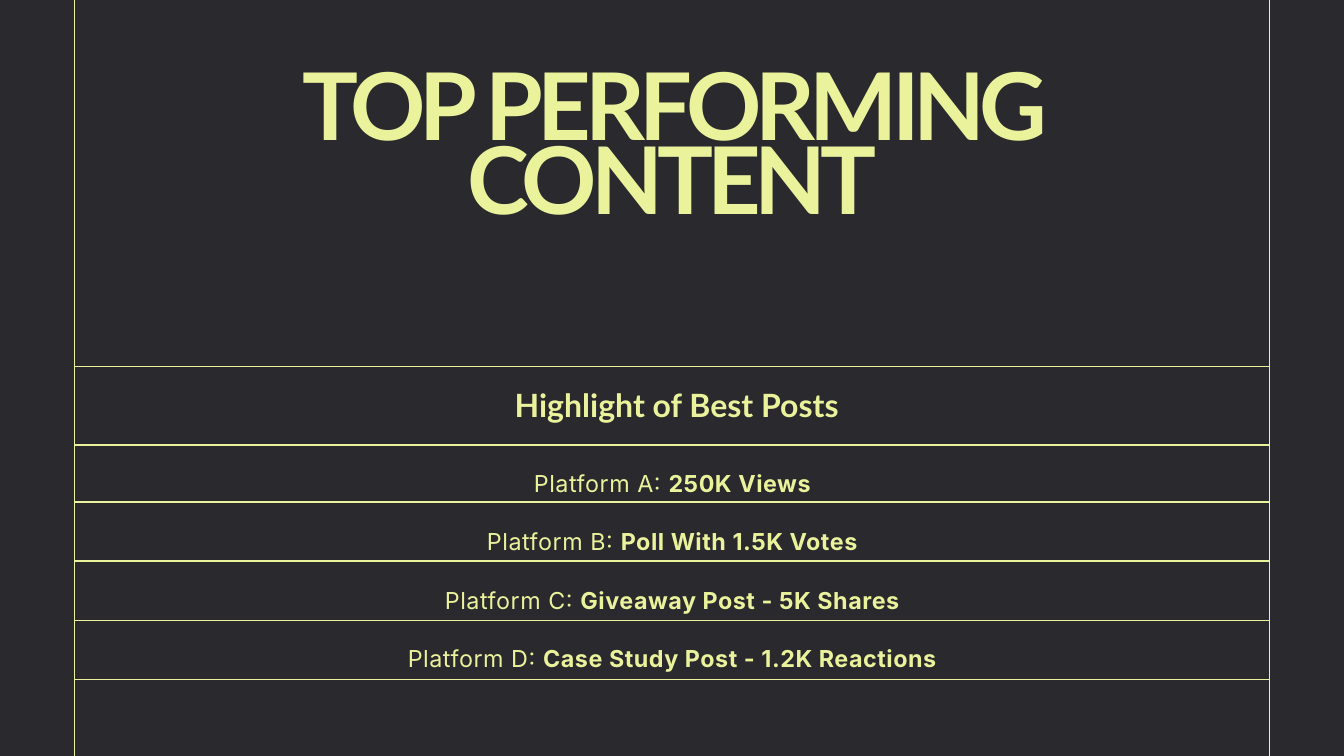
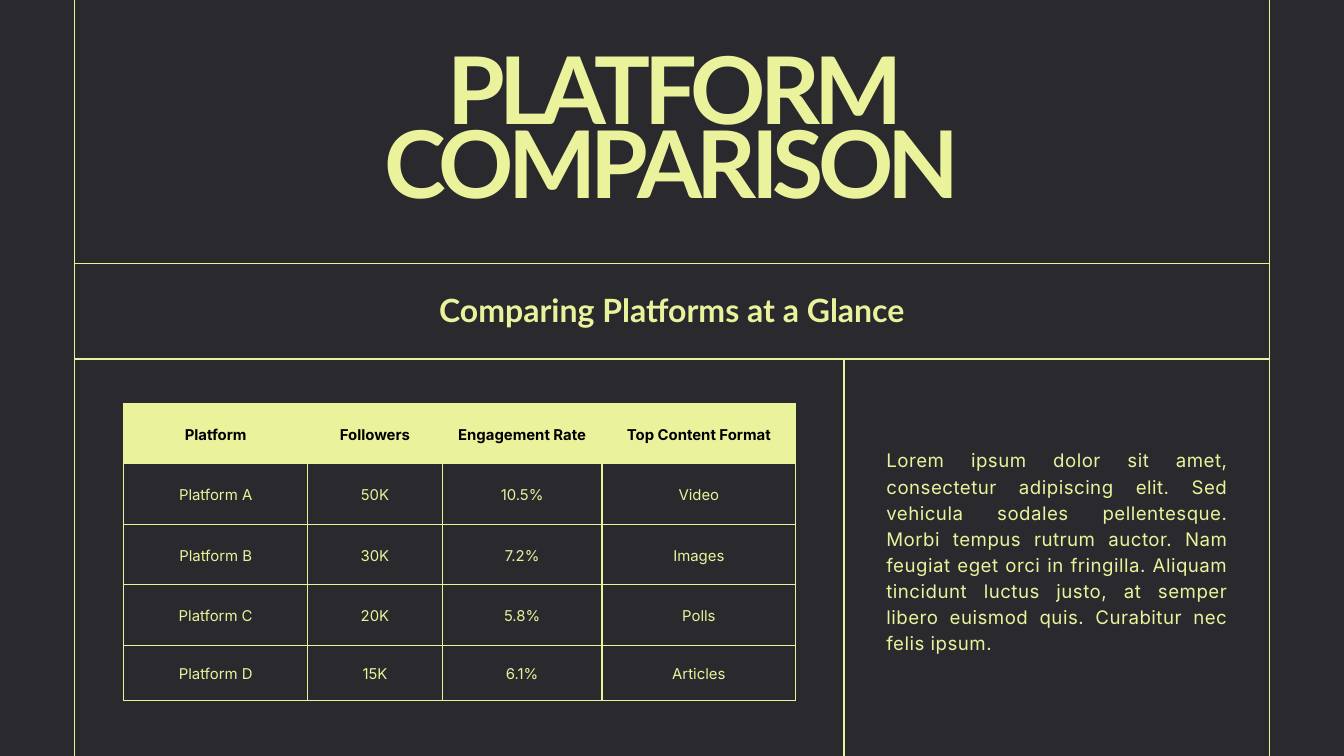
from dataclasses import dataclass

from lxml.etree import SubElement
from pptx import Presentation
from pptx.dml.color import RGBColor
from pptx.enum.shapes import MSO_CONNECTOR
from pptx.enum.text import MSO_ANCHOR, MSO_AUTO_SIZE, PP_ALIGN
from pptx.oxml.ns import qn
from pptx.util import Inches, Pt


@dataclass(frozen=True)
class TextStyle:
    font: str
    size: float
    leading: float
    bold: bool = False
    tracking: float = 0
    align: PP_ALIGN = PP_ALIGN.CENTER


@dataclass(frozen=True)
class Theme:
    ink: RGBColor = RGBColor(0x2A, 0x2A, 0x2E)
    lime: RGBColor = RGBColor(0xEB, 0xF2, 0x9C)
    black: RGBColor = RGBColor(0, 0, 0)
    rule: float = 1.5
    title: TextStyle = TextStyle("Lato", 100, 79, True, -6.3)
    heading: TextStyle = TextStyle("Lato", 34.3, 48, True)
    posts: TextStyle = TextStyle("Inter", 25, 62.5, tracking=0.6)
    summary: TextStyle = TextStyle("Inter", 20, 28, tracking=0.5, align=PP_ALIGN.JUSTIFY)
    cell: TextStyle = TextStyle("Inter", 16, 22.4)
    table_head: TextStyle = TextStyle("Inter", 16, 22.4, True)


COLUMNS, ROWS = 20, 11.25
LEFT_RAIL, RIGHT_RAIL = 1.11, 18.89
TITLE_ONLY, TITLE_AND_CONTENT = 5, 1


class Deck:
    """Places styled elements on the current slide, in grid columns and rows."""

    def __init__(self, theme):
        self.theme = theme
        self.presentation = Presentation()
        self.presentation.slide_width = Inches(COLUMNS)
        self.presentation.slide_height = Inches(ROWS)
        backdrop = self.presentation.slide_master.background.fill
        backdrop.solid()
        backdrop.fore_color.rgb = theme.ink
        self.slide = None

    def x(self, columns):
        return round(self.presentation.slide_width * columns / COLUMNS)

    def y(self, rows):
        return round(self.presentation.slide_height * rows / ROWS)

    def box(self, left, top, width, height):
        return self.x(left), self.y(top), self.x(width), self.y(height)

    def new_slide(self, layout, title, title_area):
        layouts = self.presentation.slide_layouts
        self.slide = self.presentation.slides.add_slide(layouts[layout])
        for rail in (RIGHT_RAIL, LEFT_RAIL):
            self.line(rail, ROWS, rail, 0)
        self.set_lines(self.slide.shapes.title, title_area, [title], self.theme.title)

    def line(self, x1, y1, x2, y2):
        connector = self.slide.shapes.add_connector(
            MSO_CONNECTOR.STRAIGHT, self.x(x1), self.y(y1), self.x(x2), self.y(y2))
        connector.line.color.rgb = self.theme.lime
        connector.line.width = Pt(self.theme.rule)
        SubElement(connector._element.spPr, qn("a:effectLst"))

    def row_line(self, row):
        self.line(LEFT_RAIL, row, RIGHT_RAIL, row)

    def style_run(self, run, style, color, bold):
        run.font.name = style.font
        run.font.size = Pt(style.size)
        run.font.bold = bold
        run.font.color.rgb = color
        if style.tracking:
            run._r.get_or_add_rPr().set("spc", str(round(style.tracking * 100)))

    def style_paragraph(self, paragraph, style, color):
        paragraph.alignment = style.align
        paragraph.line_spacing = Pt(style.leading)
        paragraph.space_before = Pt(0)
        for run in paragraph.runs:
            self.style_run(run, style, color, style.bold)

    def set_lines(self, shape, area, lines, style):
        shape.left, shape.top, shape.width, shape.height = self.box(*area)
        frame = shape.text_frame
        frame.margin_left = frame.margin_right = 0
        frame.margin_top = frame.margin_bottom = 0
        frame.word_wrap = True
        frame.vertical_anchor = MSO_ANCHOR.TOP
        frame.auto_size = MSO_AUTO_SIZE.SHAPE_TO_FIT_TEXT
        frame.text = "\n".join(lines)
        for paragraph in frame.paragraphs:
            self.style_paragraph(paragraph, style, self.theme.lime)
        return frame

    def text(self, area, content, style):
        textbox = self.slide.shapes.add_textbox(*self.box(*area))
        self.set_lines(textbox, area, [content], style)

    def labelled_list(self, area, entries, style):
        """Fill the body placeholder with unbulleted 'label: bold result' lines."""
        labels = [f"{label}: " for label, _ in entries]
        frame = self.set_lines(self.slide.placeholders[1], area, labels, style)
        for paragraph, (_, result) in zip(frame.paragraphs, entries):
            properties = paragraph._p.get_or_add_pPr()
            properties.set("marL", "0")
            properties.set("indent", "0")
            SubElement(properties, qn("a:buNone"))
            run = paragraph.add_run()
            run.text = result
            self.style_run(run, style, self.theme.lime, True)

    def border(self, cell):
        properties = cell._tc.get_or_add_tcPr()
        for position, side in enumerate(("lnL", "lnR", "lnT", "lnB")):
            edge = SubElement(properties, qn(f"a:{side}"), w=str(Pt(self.theme.rule)))
            fill = SubElement(edge, qn("a:solidFill"))
            SubElement(fill, qn("a:srgbClr"), val=str(self.theme.lime))
            properties.insert(position, edge)

    def table(self, left, top, widths, heights, records):
        table = self.slide.shapes.add_table(
            len(heights), len(widths),
            *self.box(left, top, sum(widths), sum(heights))).table
        table.first_row = table.horz_banding = False
        for column, width in zip(table.columns, widths):
            column.width = self.x(width)
        for row, height in zip(table.rows, heights):
            row.height = self.y(height)
        for r, record in enumerate(records):
            for c, value in enumerate(record):
                self.fill_cell(table.cell(r, c), value, is_head=r == 0)

    def fill_cell(self, cell, value, is_head):
        theme = self.theme
        cell.text_frame.text = value
        cell.vertical_anchor = MSO_ANCHOR.MIDDLE
        cell.margin_left = cell.margin_right = self.x(0.21)
        cell.margin_top = cell.margin_bottom = self.y(0.21)
        if is_head:
            cell.fill.solid()
            cell.fill.fore_color.rgb = theme.lime
        else:
            cell.fill.background()
        self.style_paragraph(cell.text_frame.paragraphs[0],
                             theme.table_head if is_head else theme.cell,
                             theme.black if is_head else theme.lime)
        self.border(cell)


def add_top_content(deck):
    deck.new_slide(TITLE_AND_CONTENT, "TOP PERFORMING CONTENT", (4.09, 1.27, 11.82, 3.55))
    for row in (5.45, 6.62):
        deck.row_line(row)
    deck.text((4.89, 5.64, 10.36, 0.68), "Highlight of Best Posts", deck.theme.heading)
    best_posts = [
        ("Platform A", "250K Views"),
        ("Platform B", "Poll With 1.5K Votes"),
        ("Platform C", "Giveaway Post - 5K Shares"),
        ("Platform D", "Case Study Post - 1.2K Reactions"),
    ]
    deck.labelled_list((4.56, 6.53, 10.89, 3.34), best_posts, deck.theme.posts)
    first_post_line, post_pitch = 7.47, 0.88
    for post in range(len(best_posts)):
        deck.row_line(first_post_line + post * post_pitch)


def add_platform_comparison(deck):
    heading_top, heading_bottom, divider = 3.92, 5.34, 12.56
    deck.new_slide(TITLE_ONLY, "PLATFORM COMPARISON", (4.09, 1.04, 11.82, 2.45))
    deck.row_line(heading_top)
    deck.row_line(heading_bottom)
    deck.line(divider, ROWS, divider, heading_bottom)
    deck.table(1.84, 6, (2.74, 2, 2.38, 2.88), [0.9] * 4 + [0.82], [
        ("Platform", "Followers", "Engagement Rate", "Top Content Format"),
        ("Platform A", "50K", "10.5%", "Video"),
        ("Platform B", "30K", "7.2%", "Images"),
        ("Platform C", "20K", "5.8%", "Polls"),
        ("Platform D", "15K", "6.1%", "Articles"),
    ])
    deck.text((4.82, 4.23, 10.36, 0.68), "Comparing Platforms at a Glance", deck.theme.heading)
    deck.text(
        (13.19, 6.63, 5.08, 3.08),
        "Lorem ipsum dolor sit amet, consectetur adipiscing elit. Sed vehicula "
        "sodales pellentesque. Morbi tempus rutrum auctor. Nam feugiat eget orci "
        "in fringilla. Aliquam tincidunt luctus justo, at semper libero euismod "
        "quis. Curabitur nec felis ipsum.",
        deck.theme.summary)


def main():
    deck = Deck(Theme())
    add_top_content(deck)
    add_platform_comparison(deck)
    deck.presentation.save("out.pptx")


if __name__ == "__main__":
    main()
